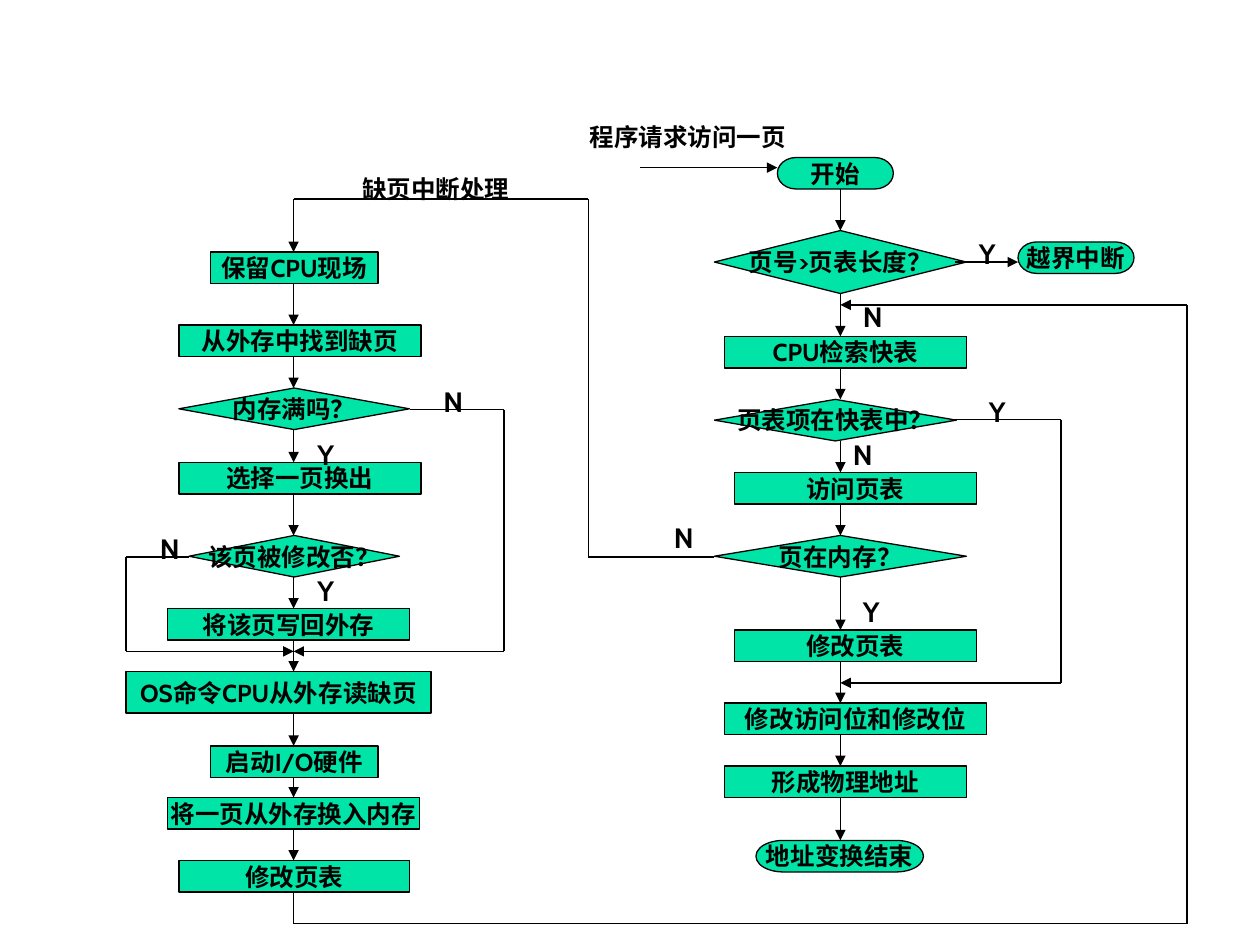
from itertools import pairwise

from lxml import etree
from pptx import Presentation
from pptx import util as u
from pptx.dml import color
from pptx.enum import shapes, text
from pptx.oxml import ns

COLORS = {"ink": "000000", "node": "00E4A8"}
FONT = "Cabin"
START_END = shapes.MSO_SHAPE.FLOWCHART_TERMINATOR
STEP = shapes.MSO_SHAPE.FLOWCHART_PROCESS
TEST = shapes.MSO_SHAPE.FLOWCHART_DECISION


def rgb(name):
    return color.RGBColor.from_string(COLORS[name])


def write(frame, words, size, align):
    paragraph = frame.paragraphs[0]
    paragraph.text = words
    paragraph.alignment = align
    paragraph.font.name = FONT
    paragraph.font.size = u.Pt(size)
    paragraph.font.bold = True
    paragraph.font.color.rgb = rgb("ink")


def node(canvas, kind, words, x, y, w, h):
    shape = canvas.add_shape(kind, *map(u.Inches, (x, y, w, h)))
    shape.shadow.inherit = False
    shape.fill.solid()
    shape.fill.fore_color.rgb = rgb("node")
    shape.line.color.rgb = rgb("ink")
    shape.line.width = u.Pt(0.75)
    shape.text_frame.word_wrap = False
    shape.text_frame.vertical_anchor = text.MSO_ANCHOR.MIDDLE
    write(shape.text_frame, words, 14, text.PP_ALIGN.CENTER)


def label(canvas, words, x, y, w=0.33, h=0.37, size=16, align=text.PP_ALIGN.LEFT):
    frame = canvas.add_textbox(*map(u.Inches, (x, y, w, h))).text_frame
    frame.word_wrap = True
    frame.auto_size = text.MSO_AUTO_SIZE.SHAPE_TO_FIT_TEXT
    write(frame, words, size, align)


def caption(canvas, words, x, y):
    label(canvas, words, x, y, 2.08, 0.34, 14, text.PP_ALIGN.CENTER)


def route(canvas, *points, arrow=True):
    """Joins the points with straight lines; the last may end in an arrowhead."""
    for begin, end in pairwise(points):
        line = canvas.add_connector(
            shapes.MSO_CONNECTOR.STRAIGHT, *map(u.Inches, begin + end))
        line.line.color.rgb = rgb("ink")
        line.line.width = u.Pt(0.75)
        properties = line._element.spPr
        etree.SubElement(properties, ns.qn("a:effectLst"))
    if arrow:
        outline = properties.find(ns.qn("a:ln"))
        etree.SubElement(outline, ns.qn("a:tailEnd"), type="triangle")


def column(canvas, left, top, axis, steps):
    """Places the steps and links each to the next along the axis."""
    for kind, words, x, y, w, h in steps:
        node(canvas, kind, words, left + x, top + y, w, h)
    for (*_, y, _, h), (*_, next_y, _, _) in pairwise(steps):
        route(canvas, (left + axis, top + y + h), (left + axis, top + next_y))


def address_translation(canvas, left, top):
    axis = 1
    column(canvas, left, top, axis, [
        (START_END, "开始", 0.5, 0, 0.92, 0.25),
        (TEST, "页号>页表长度？", 0, 0.58, 2, 0.5),
        (STEP, "CPU检索快表", 0.08, 1.42, 1.92, 0.25),
        (TEST, "页表项在快表中？", 0, 1.92, 1.92, 0.33),
        (STEP, "访问页表", 0.16, 2.5, 1.92, 0.25),
        (TEST, "页在内存？", 0, 3, 2, 0.33),
        (STEP, "修改页表", 0.16, 3.75, 1.92, 0.25),
        (STEP, "修改访问位和修改位", 0.08, 4.33, 2.08, 0.25),
        (STEP, "形成物理地址", 0.08, 4.83, 1.92, 0.25),
        (START_END, "地址变换结束", 0.33, 5.42, 1.33, 0.25),
    ])
    node(canvas, START_END, "越界中断", left + 2.41, top + 0.67, 0.92, 0.25)
    route(canvas, (left - 0.59, top + 0.08), (left + 0.5, top + 0.08))
    route(canvas, (left + 1.91, top + 0.83), (left + 2.41, top + 0.83))
    bypass = left + 2.75
    route(canvas, (left + 1.91, top + 2.08), (bypass, top + 2.08),
          (bypass, top + 4.17), (left + axis, top + 4.17))
    caption(canvas, "程序请求访问一页", left - 1.25, top - 0.33)
    for answer, x, y in [("Y", 2, 0.58), ("N", 1.08, 1.08), ("Y", 2.08, 1.83),
                         ("N", 1, 2.17), ("N", -0.42, 2.83), ("Y", 1.08, 3.42)]:
        label(canvas, answer, left + x, top + y)


def page_fault_handling(canvas, left, top):
    axis = 1.33
    column(canvas, left, top, axis, [
        (STEP, "保留CPU现场", 0.67, 0, 1.33, 0.25),
        (STEP, "从外存中找到缺页", 0.42, 0.58, 1.92, 0.25),
        (TEST, "内存满吗？", 0.42, 1.08, 1.83, 0.33),
        (STEP, "选择一页换出", 0.42, 1.67, 1.92, 0.25),
        (TEST, "该页被修改否？", 0.5, 2.25, 1.67, 0.33),
        (STEP, "将该页写回外存", 0.33, 2.83, 1.92, 0.25),
        (STEP, "OS命令CPU从外存读缺页", 0, 3.33, 2.42, 0.33),
        (STEP, "启动I/O硬件", 0.67, 3.92, 1.33, 0.25),
        (STEP, "将一页从外存换入内存", 0.33, 4.33, 2, 0.25),
        (STEP, "修改页表", 0.42, 4.83, 1.83, 0.25),
    ])
    merge = (left + axis, top + 3.17)
    for exit_x, side_x, y in [(2.25, 3, 1.25), (0.5, 0, 2.42)]:
        route(canvas, (left + exit_x, top + y), (left + side_x, top + y),
              (left + side_x, merge[1]), merge)
    for answer, x, y in [("N", 2.42, 1), ("Y", 1.42, 1.42),
                         ("N", 0.17, 2.17), ("Y", 1.42, 2.5)]:
        label(canvas, answer, left + x, top + y)


def fault_and_return_links(canvas, left, top):
    """Links the two columns: out to fault handling, then back to the lookup."""
    route(canvas, (left + 3.34, top + 2.84), (left + 2.34, top + 2.84),
          (left + 2.34, top), (left, top), (left, top + 0.42))
    route(canvas, (left, top + 5.5), (left, top + 5.75), (left + 7.09, top + 5.75),
          (left + 7.09, top + 0.84), (left + 4.34, top + 0.84))
    caption(canvas, "缺页中断处理", left + 0.09, top - 0.25)


def main():
    deck = Presentation()
    deck.slide_width, deck.slide_height = u.Inches(10), u.Inches(7.5)
    slide = deck.slides.add_slide(deck.slide_layouts[6])
    address_translation(slide.shapes, 5.67, 1.25)
    fault_and_return_links(slide.shapes, 2.33, 1.58)
    page_fault_handling(slide.shapes.add_group_shape().shapes, 1, 2)
    deck.save("out.pptx")


if __name__ == "__main__":
    main()
